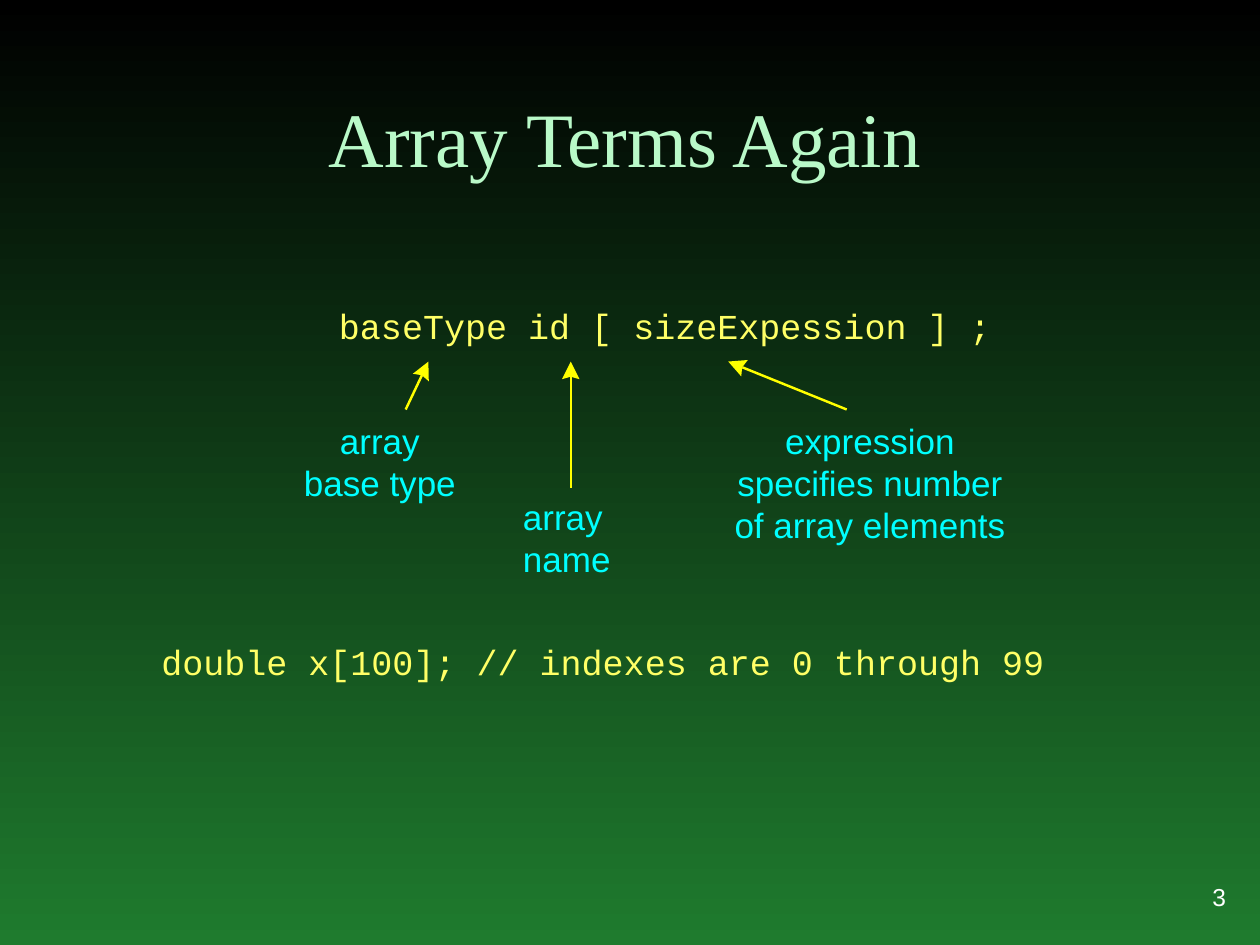
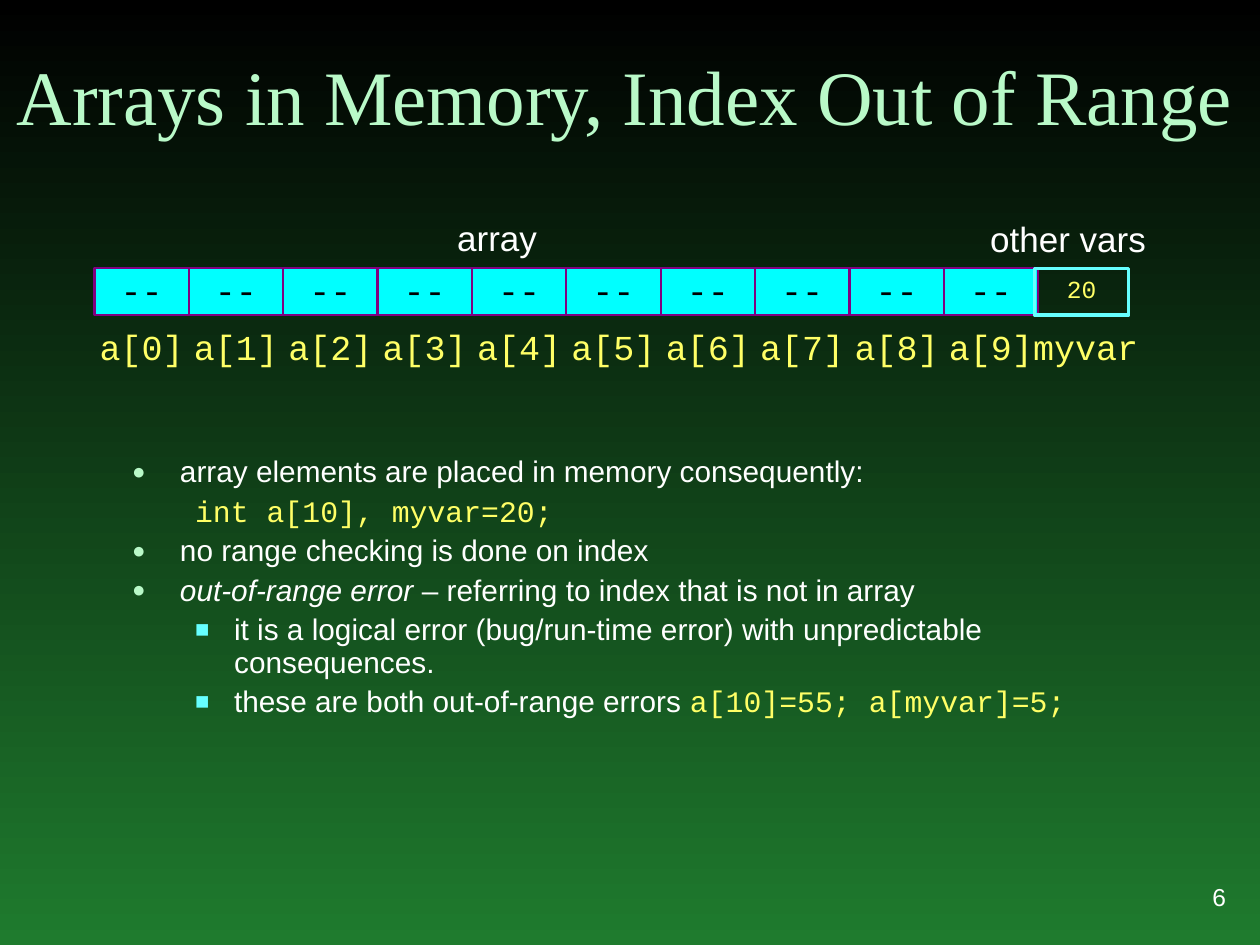
from dataclasses import dataclass
from math import hypot

from lxml import etree
from pptx import Presentation
from pptx.dml.color import RGBColor
from pptx.enum.shapes import MSO_CONNECTOR, MSO_SHAPE
from pptx.enum.text import MSO_ANCHOR, PP_ALIGN
from pptx.oxml.ns import qn
from pptx.util import Inches, Pt

LEFT, CENTER, RIGHT = PP_ALIGN.LEFT, PP_ALIGN.CENTER, PP_ALIGN.RIGHT
TOP, MIDDLE, BOTTOM = MSO_ANCHOR.TOP, MSO_ANCHOR.MIDDLE, MSO_ANCHOR.BOTTOM
RECTANGLE, STRAIGHT = MSO_SHAPE.RECTANGLE, MSO_CONNECTOR.STRAIGHT

COLORS = {
    "sky": "000000", "ground": "1F7B2E", "title": "B9F9C8", "code": "FFFF66",
    "note": "00FFFF", "arrow": "FFFF00", "text": "FFFFFF", "cell": "00FFFF",
    "cell_line": "800080", "cell_text": "000000", "accent": "66FFFF",
}
SANS, MONO, SERIF = "Arial", "Courier New", "Times New Roman"
PADDING = (0.1, 0.05)
NO_PADDING = (0, 0)


@dataclass(frozen=True)
class Span:
    text: str
    color: str = "text"
    font: str = SANS
    size: float = 20
    italic: bool = False


@dataclass(frozen=True)
class Bullet:
    char: str
    color: str
    percent: int


@dataclass(frozen=True)
class Para:
    spans: tuple[Span, ...]
    align: PP_ALIGN = LEFT
    level: int = 0
    margin: float = 0
    indent: float = 0
    spacing: float | None = None
    before: float = 0
    bullet: Bullet | None = None


@dataclass(frozen=True)
class Label:
    left: float
    top: float
    width: float
    height: float
    paras: tuple[Para, ...]
    padding: tuple[float, float] = NO_PADDING
    anchor: MSO_ANCHOR = TOP
    wrap: bool = False


@dataclass(frozen=True)
class Arrow:
    start: tuple[float, float]
    tip: tuple[float, float]


def rgb(name: str) -> RGBColor:
    return RGBColor.from_string(COLORS[name])


def code(text: str, size: float = 20, color: str = "code") -> Span:
    return Span(text, color, MONO, size)


def note(text: str) -> Span:
    return Span(text, "note")


def add_bullet(para, bullet: Bullet | None) -> None:
    properties = para._p.get_or_add_pPr()
    if bullet is None:
        etree.SubElement(properties, qn("a:buNone"))
        return
    color = etree.SubElement(properties, qn("a:buClr"))
    etree.SubElement(color, qn("a:srgbClr"), val=COLORS[bullet.color])
    etree.SubElement(properties, qn("a:buSzPct"), val=str(bullet.percent * 1000))
    etree.SubElement(properties, qn("a:buFont"), typeface=SANS)
    etree.SubElement(properties, qn("a:buChar"), char=bullet.char)


def add_span(para, span: Span) -> None:
    """Add one run per line, with line breaks between them."""
    for number, line in enumerate(span.text.split("\n")):
        if number:
            para.add_line_break()
        run = para.add_run()
        run.text = line
        run.font.name = span.font
        run.font.size = Pt(span.size)
        run.font.italic = span.italic
        run.font.color.rgb = rgb(span.color)


def fill_frame(frame, label: Label) -> None:
    side, edge = label.padding
    frame.margin_left = frame.margin_right = Inches(side)
    frame.margin_top = frame.margin_bottom = Inches(edge)
    frame.vertical_anchor = label.anchor
    frame.word_wrap = label.wrap
    for number, item in enumerate(label.paras):
        para = frame.add_paragraph() if number else frame.paragraphs[0]
        para.alignment = item.align
        para.level = item.level
        para.space_before = Pt(item.before)
        if item.spacing:
            para.line_spacing = item.spacing
        properties = para._p.get_or_add_pPr()
        properties.set("marL", str(Inches(item.margin)))
        properties.set("indent", str(Inches(item.indent)))
        add_bullet(para, item.bullet)
        for span in item.spans:
            add_span(para, span)


def frame_of(label: Label) -> tuple[Inches, ...]:
    return tuple(Inches(v) for v in (label.left, label.top, label.width, label.height))


def add_label(slide, label: Label) -> None:
    fill_frame(slide.shapes.add_textbox(*frame_of(label)).text_frame, label)


def add_cell(slide, label: Label, fill: str | None, line: str, weight: float) -> None:
    cell = slide.shapes.add_shape(RECTANGLE, *frame_of(label))
    cell.shadow.inherit = False
    if fill:
        cell.fill.solid()
        cell.fill.fore_color.rgb = rgb(fill)
    else:
        cell.fill.background()
    cell.line.color.rgb = rgb(line)
    cell.line.width = Pt(weight)
    fill_frame(cell.text_frame, label)


def add_arrow(slide, arrow: Arrow) -> None:
    """Draw a thin line that ends in the notch of a barbed head."""
    length, half_width, notch = 0.14, 0.07, 0.12
    (x, y), (tip_x, tip_y) = arrow.start, arrow.tip
    reach = hypot(tip_x - x, tip_y - y)
    along_x, along_y = (tip_x - x) / reach, (tip_y - y) / reach

    def from_tip(back: float, aside: float) -> tuple[Inches, Inches]:
        return (Inches(tip_x - back * along_x - aside * along_y),
                Inches(tip_y - back * along_y + aside * along_x))

    line = slide.shapes.add_connector(
        STRAIGHT, Inches(x), Inches(y), *from_tip(notch, 0))
    line.line.color.rgb = rgb("arrow")
    line.line.width = Pt(1.39)
    etree.SubElement(line._element.spPr, qn("a:effectLst"))

    builder = slide.shapes.build_freeform(*from_tip(0, 0))
    builder.add_line_segments([from_tip(length, half_width), from_tip(notch, 0),
                               from_tip(length, -half_width)], close=True)
    head = builder.convert_to_shape()
    head.shadow.inherit = False
    head.fill.solid()
    head.fill.fore_color.rgb = rgb("arrow")
    head.line.fill.background()


def title(text: str, left: float, top: float, width: float, height: float,
          spacing: float | None = None) -> Label:
    para = Para((Span(text, "title", SERIF, 44),), CENTER, spacing=spacing)
    return Label(left, top, width, height, (para,), PADDING, BOTTOM, True)


def new_slide(deck, heading: Label, number: int):
    """Add a slide with the shared background, title and page number."""
    slide = deck.slides.add_slide(deck.slide_layouts[6])
    fill = slide.background.fill
    fill.gradient()
    fill.gradient_angle = 270
    for stop, color in zip(fill.gradient_stops, ("sky", "ground")):
        stop.color.rgb = rgb(color)
    add_label(slide, heading)
    page = Para((Span(str(number), size=14),), RIGHT)
    add_label(slide, Label(8.5, 6.83, 1.33, 0.58, (page,), PADDING, MIDDLE))
    return slide


def build_terms(deck) -> None:
    slide = new_slide(deck, title("Array Terms Again", 0.67, 0.25, 8.58, 1.25), 3)
    labels = (
        Label(2.69, 2.42, 5.51, 0.33,
              (Para((code("baseType id [ sizeExpession ] ;"),)),)),
        Label(2.41, 3.33, 1.21, 0.67, (Para((note("array\nbase type"),), CENTER),)),
        Label(4.15, 3.93, 0.85, 0.67, (Para((note("array \nname"),)),)),
        Label(5.83, 3.33, 2.15, 1,
              (Para((note("expression\nspecifies number"),), CENTER),
               Para((note("of array elements"),), CENTER))),
        Label(1.28, 5.08, 7.02, 0.67,
              (Para((code("double x[100]; // indexes are 0 through 99"),)),)),
    )
    arrows = (
        Arrow((3.22, 3.25), (3.4, 2.87)),
        Arrow((4.53, 3.87), (4.53, 2.87)),
        Arrow((6.72, 3.25), (5.78, 2.87)),
    )
    for arrow in arrows:
        add_arrow(slide, arrow)
    for label in labels:
        add_label(slide, label)


def add_memory_row(slide) -> None:
    count, left, row_width = 10, 0.75, 7.49
    pitch = row_width / count
    cell_top, cell_height, name_top = 2.13, 0.37, 2.58
    for index in range(count):
        x = left + index * pitch
        dashes = Para((code("--", color="cell_text"),), CENTER)
        add_cell(slide, Label(x, cell_top, pitch, cell_height, (dashes,)),
                 "cell", "cell_line", 1.25)
        name = Para((code(f"a[{index}]"),), CENTER)
        add_label(slide, Label(x, name_top, pitch, 0.33, (name,)))
    value = Para((code("20", 14),), CENTER, spacing=0.8)
    add_cell(slide, Label(8.21, cell_top, pitch, cell_height, (value,),
                          PADDING, MIDDLE, True), None, "accent", 2)
    add_label(slide, Label(8.2, name_top, 0.9, 0.33, (Para((code("myvar"),)),)))
    for text, x, y, width in (("array", 3.53, 1.67, 0.95),
                              ("other vars", 7.76, 1.68, 1.55)):
        add_label(slide, Label(x, y, width, 0.44, (Para((Span(text),)),), PADDING))


def build_memory(deck) -> None:
    heading = title("Arrays in Memory, Index Out of Range", 0, 0.17, 9.92, 1, 0.85)
    slide = new_slide(deck, heading, 6)
    size = 17
    dot, square = Bullet("●", "title", 75), Bullet("■", "accent", 80)

    def point(*spans: Span) -> Para:
        return Para(spans, LEFT, 0, 0.38, -0.38, 0.9, 4.2, dot)

    def detail(*spans: Span, bullet: Bullet | None = square) -> Para:
        return Para(spans, LEFT, 1, 0.81, -0.31, 0.9, 4.2, bullet)

    points = (
        point(Span("array elements are placed in memory consequently:", size=size)),
        detail(code("int a[10], myvar=20;", size), bullet=None),
        point(Span("no range checking is done on index", size=size)),
        point(Span("out-of-range error", size=size, italic=True),
              Span(" – referring to index that is not in array", size=size)),
        detail(Span("it is a logical error (bug/run-time error) with "
                    "unpredictable consequences.", size=size)),
        detail(Span("these are both out-of-range errors ", size=size),
               code("a[10]=55; a[myvar]=5;", size)),
    )
    add_label(slide, Label(0.95, 3.58, 8.21, 2.92, points, PADDING, wrap=True))
    add_memory_row(slide)


def main() -> None:
    deck = Presentation()
    deck.slide_width, deck.slide_height = Inches(10), Inches(7.5)
    build_terms(deck)
    build_memory(deck)
    deck.save("out.pptx")


if __name__ == "__main__":
    main()
